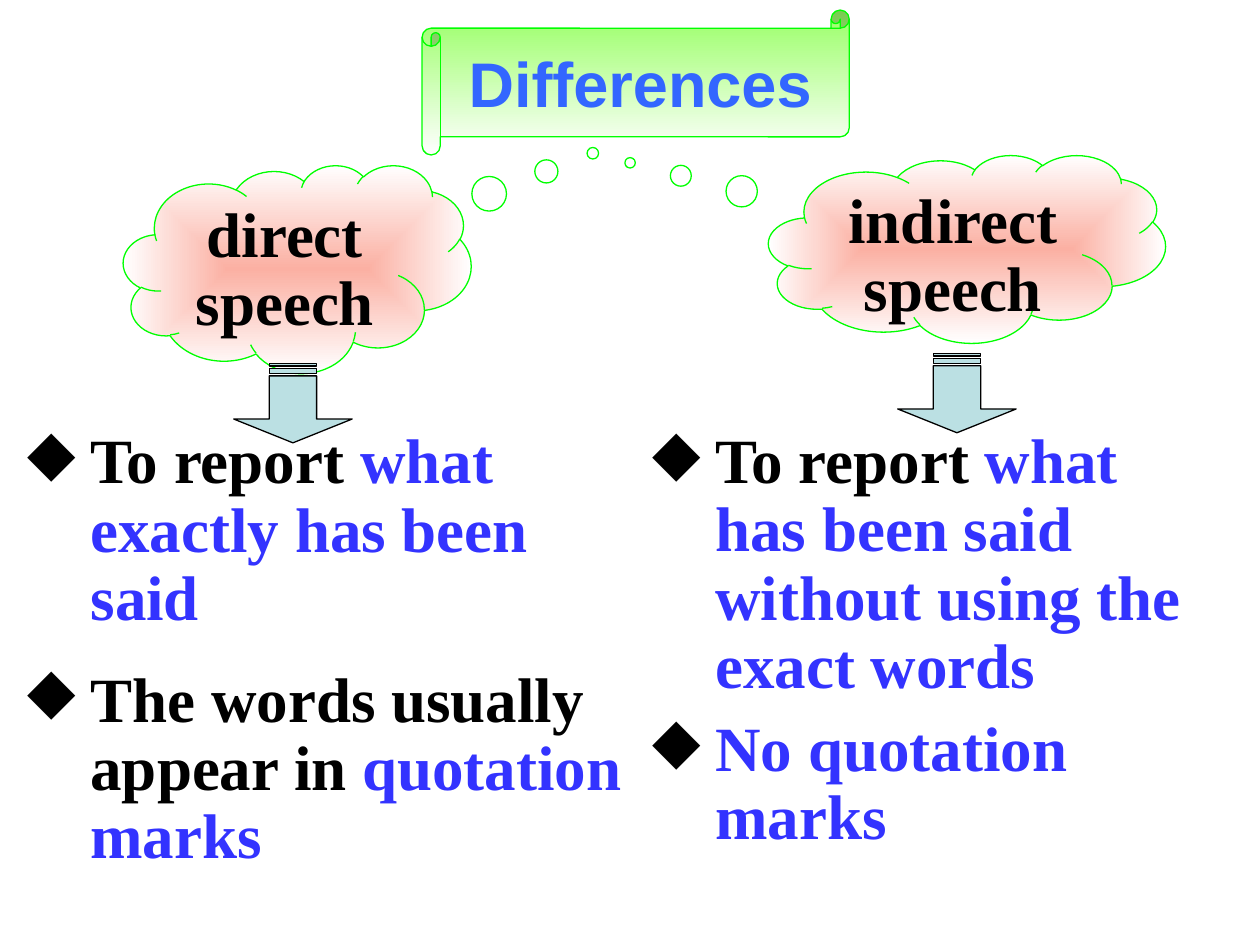
from lxml import etree
from pptx import Presentation, util as u
from pptx.dml.color import RGBColor
from pptx.enum import shapes, text
from pptx.oxml import ns

theme = dict(
    serif="Times New Roman", sans="Arial", size=36, edge=0.75, lead=0.9,
    ink="000000", blue="3333FF", title="3366FF", green="00FF00",
    lime="99FF66", rose="FBB0A3", white="FFFFFF", teal="BBE0E3",
)
COLS, ROWS = 100, 75
HANG = u.Inches(0.5)

deck = Presentation()
deck.slide_width, deck.slide_height = u.Inches(10), u.Inches(7.5)
slide = deck.slides.add_slide(deck.slide_layouts[6])


def place(x, y, w, h):
    """Turn grid columns and rows into slide lengths."""
    col, row = deck.slide_width / COLS, deck.slide_height / ROWS
    return [u.Emu(round(v)) for v in (x * col, y * row, w * col, h * row)]


def write(frame, lines, font=theme["serif"], align=text.PP_ALIGN.LEFT,
          anchor=text.MSO_ANCHOR.TOP, wrap=True, lead=theme["lead"], bullet=False):
    """Fill a frame; each line is a list of (words, colour) runs."""
    frame.word_wrap, frame.vertical_anchor = wrap, anchor
    for n, line in enumerate(lines):
        para = frame.add_paragraph() if n else frame.paragraphs[0]
        para.alignment, para.line_spacing = align, lead
        if bullet:
            props = para._p.get_or_add_pPr()
            props.set("marL", str(HANG))
            props.set("indent", str(0 if n else -HANG))
            if n == 0:
                etree.SubElement(props, ns.qn("a:buChar"), char="◆")
        for words, hue in line:
            run = para.add_run()
            run.text = words
            run.font.name, run.font.size = font, u.Pt(theme["size"])
            run.font.bold = True
            run.font.color.rgb = RGBColor.from_string(theme[hue])


kind = shapes.MSO_SHAPE
down = '<a:lin ang="5400000" scaled="1"/>'
burst = ('<a:path path="rect"><a:fillToRect l="50000" t="50000" '
         'r="50000" b="50000"/></a:path>')
head = dict(font=theme["sans"], anchor=text.MSO_ANCHOR.MIDDLE, wrap=False, lead=1.0)
panels = [
    (kind.HORIZONTAL_SCROLL, (33.5, 0.8, 33.9, 11.5), [0.125], "lime", down,
     "Differences", "title", head),
    (kind.CLOUD_CALLOUT, (9.8, 13.1, 27.6, 16.5), [0.85, -0.557], "rose", burst,
     "direct speech", "ink", {}),
    (kind.CLOUD_CALLOUT, (61, 12.3, 31.5, 14.9), [-0.849, -0.458], "rose", burst,
     "indirect speech", "ink", {}),
]
for form, spot, bends, hue, flow, words, ink, style in panels:
    panel = slide.shapes.add_shape(form, *place(*spot))
    panel.shadow.inherit = False
    for n, bend in enumerate(bends):
        panel.adjustments[n] = bend
    panel.line.color.rgb = RGBColor.from_string(theme["green"])
    panel.line.width = u.Pt(theme["edge"])
    fade = etree.fromstring(
        f'<a:gradFill {ns.nsdecls("a")} rotWithShape="1"><a:gsLst>'
        f'<a:gs pos="0"><a:srgbClr val="{theme[hue]}"/></a:gs>'
        f'<a:gs pos="100000"><a:srgbClr val="{theme["white"]}"/></a:gs>'
        f'</a:gsLst>{flow}</a:gradFill>')
    panel._element.spPr.find(ns.qn("a:prstGeom")).addnext(fade)
    write(panel.text_frame, [[(words, ink)]], align=text.PP_ALIGN.CENTER, **style)

for x, y in [(20.1, 27.3), (72.8, 26.5)]:
    arrow = slide.shapes.add_shape(kind.STRIPED_RIGHT_ARROW, *place(x, y, 6.3, 9.4))
    arrow.shadow.inherit = False
    arrow.rotation = 90
    arrow.adjustments[0], arrow.adjustments[1] = 0.4, 0.3
    arrow.fill.solid()
    arrow.fill.fore_color.rgb = RGBColor.from_string(theme["teal"])
    arrow.line.color.rgb = RGBColor.from_string(theme["ink"])
    arrow.line.width = u.Pt(theme["edge"])

left, right = 1.2, 50.8
points = [
    ((left, 33.6, 46.5, 17.2), [
        [("To report ", "ink"), ("what", "blue")],
        [("exactly has been", "blue")],
        [("said", "blue")]]),
    ((left, 52.5, 49.6, 17.2), [
        [("The words usually", "ink")],
        [("appear in ", "ink"), ("quotation", "blue")],
        [("marks", "blue")]]),
    ((right, 33.6, 47.6, 22.6), [
        [("To report ", "ink"), ("what", "blue")],
        [("has been said", "blue")],
        [("without using the", "blue")],
        [("exact words", "blue")]]),
    ((right, 56.4, 43.3, 11.8), [
        [("No quotation", "blue")],
        [("marks", "blue")]]),
]
for n, (spot, lines) in enumerate(points):
    box = slide.shapes.add_textbox(*place(*spot))
    write(box.text_frame, lines, bullet=True)
    if lines[0][0][1] == "blue":
        props = box.text_frame.paragraphs[0]._p.pPr
        tint = etree.Element(ns.qn("a:buClr"))
        etree.SubElement(tint, ns.qn("a:srgbClr"), val=theme["ink"])
        props.find(ns.qn("a:buChar")).addprevious(tint)

deck.save("out.pptx")
